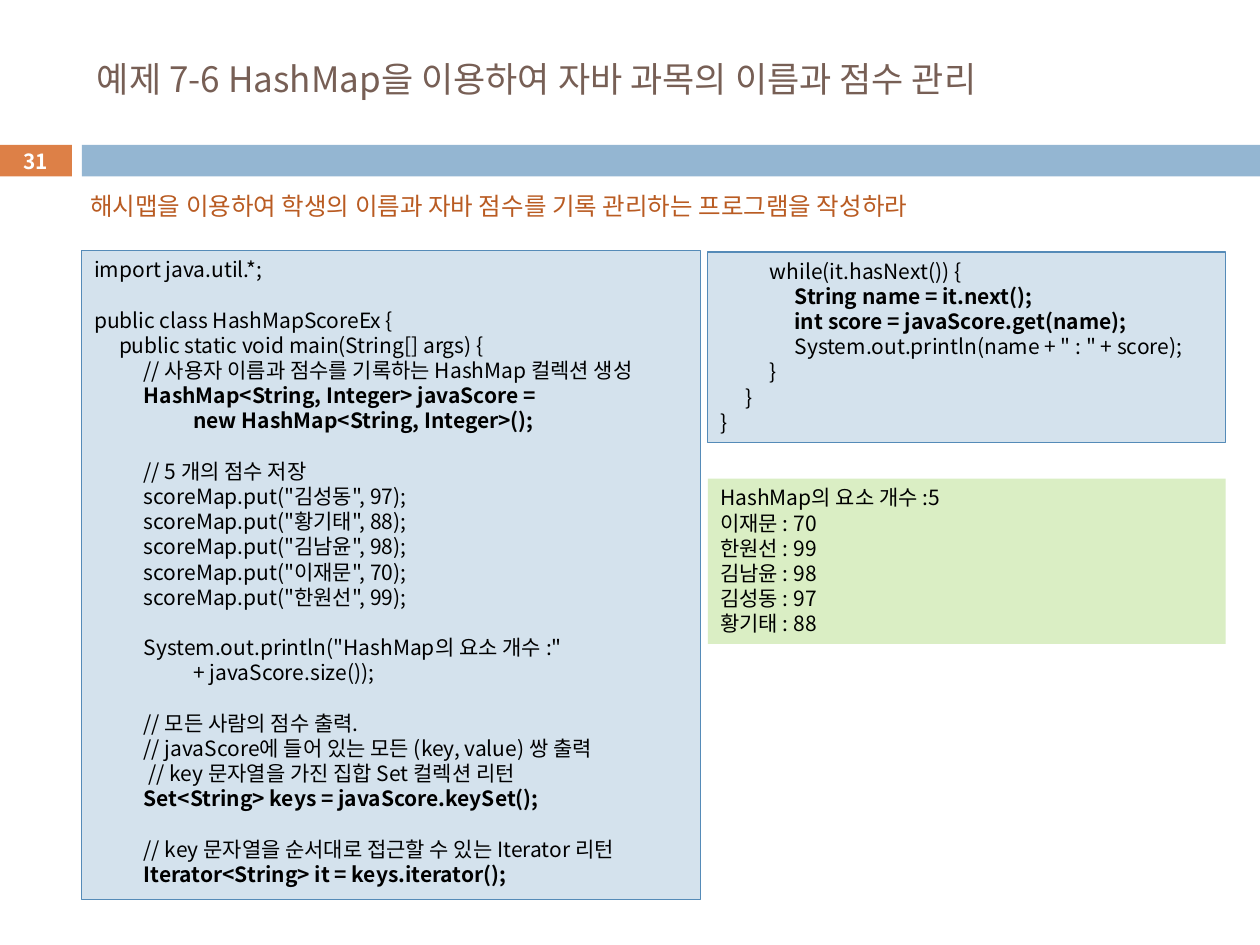
from lxml import etree
from pptx import Presentation
from pptx.dml.color import RGBColor
from pptx.enum.shapes import MSO_SHAPE
from pptx.enum.text import MSO_ANCHOR, MSO_AUTO_SIZE, PP_ALIGN
from pptx.oxml.ns import qn
from pptx.util import Cm, Pt

RECTANGLE = MSO_SHAPE.RECTANGLE
MIDDLE, TOP = MSO_ANCHOR.MIDDLE, MSO_ANCHOR.TOP
LEFT, CENTER = PP_ALIGN.LEFT, PP_ALIGN.CENTER
FIXED = MSO_AUTO_SIZE.NONE
FONT = "Noto Sans CJK KR"
COLORS = {
    "title": "775F55", "orange": "DD8047", "blue": "94B6D2",
    "code": "D4E2ED", "code_line": "558BB8", "output": "DAEEC4",
    "task": "B95B22", "black": "000000", "white": "FFFFFF",
}
TAB = Cm(0.5)
BOLD_MARK = "!"  # starts each code line that is set in bold


def write(shape, text, size=12, color="black", font=FONT, bold=False,
          align=LEFT, anchor=TOP, spacing=None, tabs=0):
    """Fill a shape with one paragraph for each line of text."""
    frame = shape.text_frame
    frame.word_wrap = True
    frame.auto_size = FIXED
    frame.vertical_anchor = anchor
    for number, line in enumerate(text.split("\n")):
        para = frame.add_paragraph() if number else frame.paragraphs[0]
        if tabs:
            stops = etree.SubElement(para._p.get_or_add_pPr(), qn("a:tabLst"))
            for stop in range(1, tabs + 1):
                etree.SubElement(stops, qn("a:tab"), pos=str(TAB * stop), algn="l")
        para.alignment = align
        if spacing:
            para.line_spacing = Pt(spacing)
        para.font.size = Pt(size)
        if not line:
            continue
        span = para.add_run()
        span.text = line.removeprefix(BOLD_MARK)
        span.font.size = Pt(size)
        span.font.bold = bold or line.startswith(BOLD_MARK)
        span.font.name = font
        span.font.color.rgb = RGBColor.from_string(COLORS[color])
        etree.SubElement(span.font._element, qn("a:ea"), typeface=FONT)


def add_box(page, left, top, width, height, fill, line=None):
    """Add a flat rectangle measured in centimetres."""
    box = page.shapes.add_shape(RECTANGLE, Cm(left), Cm(top), Cm(width), Cm(height))
    box.shadow.inherit = False
    box.fill.solid()
    box.fill.fore_color.rgb = RGBColor.from_string(COLORS[fill])
    if line:
        box.line.color.rgb = RGBColor.from_string(COLORS[line])
        box.line.width = Pt(0.75)
    else:
        box.line.fill.background()
    return box


deck = Presentation()
deck.slide_width, deck.slide_height = Cm(25.4), Cm(19.05)
page = deck.slides.add_slide(deck.slide_layouts[5])

# Title
title = page.shapes.title
title.left, title.top, title.width, title.height = Cm(1.7), Cm(0.64), Cm(22.66), Cm(1.88)
write(title, "예제 7-6 HashMap을 이용하여 자바 과목의 이름과 점수 관리",
      size=20, color="title", anchor=MIDDLE)

# Page number and bar
number_box = add_box(page, 0, 2.92, 1.45, 0.64, "orange")
number_box.text_frame.margin_top = number_box.text_frame.margin_bottom = 0
write(number_box, "31", size=11.9, color="white", bold=True, align=CENTER, anchor=MIDDLE)
add_box(page, 1.65, 2.92, 23.75, 0.64, "blue")

# Task
task = page.shapes.add_textbox(Cm(1.57), Cm(3.73), Cm(22.12), Cm(0.86))
write(task, "해시맵을 이용하여 학생의 이름과 자바 점수를 기록 관리하는 프로그램을 작성하라",
      size=14, color="task", font="Arial")

# Code, first part
MAIN_CODE = """import java.util.*;

public class HashMapScoreEx {
\tpublic static void main(String[] args) {
\t\t// 사용자 이름과 점수를 기록하는 HashMap 컬렉션 생성
!\t\tHashMap<String, Integer> javaScore =
!\t\t\t\tnew HashMap<String, Integer>();

\t\t// 5 개의 점수 저장
\t\tscoreMap.put("김성동", 97);
\t\tscoreMap.put("황기태", 88);
\t\tscoreMap.put("김남윤", 98);
\t\tscoreMap.put("이재문", 70);
\t\tscoreMap.put("한원선", 99);

\t\tSystem.out.println("HashMap의 요소 개수 :"
\t\t\t\t+ javaScore.size());

\t\t// 모든 사람의 점수 출력.
\t\t// javaScore에 들어 있는 모든 (key, value) 쌍 출력
\t\t // key 문자열을 가진 집합 Set 컬렉션 리턴
!\t\tSet<String> keys = javaScore.keySet();

\t\t// key 문자열을 순서대로 접근할 수 있는 Iterator 리턴
!\t\tIterator<String> it = keys.iterator();"""
main_box = add_box(page, 1.65, 5.05, 12.47, 13.08, "code", "code_line")
write(main_box, MAIN_CODE, spacing=14.4, tabs=4)

# Code, second part
LOOP_CODE = """\t\twhile(it.hasNext()) {
!\t\t\tString name = it.next();
!\t\t\tint score = javaScore.get(name);
\t\t\tSystem.out.println(name + " : " + score);
\t\t}
\t}
}"""
loop_box = add_box(page, 14.27, 5.08, 10.44, 3.84, "code", "code_line")
write(loop_box, LOOP_CODE, spacing=14.4, tabs=4)

# Program output
OUTPUT = """HashMap의 요소 개수 :5
이재문 : 70
한원선 : 99
김남윤 : 98
김성동 : 97
황기태 : 88"""
output_box = add_box(page, 14.27, 9.65, 10.44, 3.33, "output")
write(output_box, OUTPUT, spacing=14.4)

deck.save("out.pptx")
